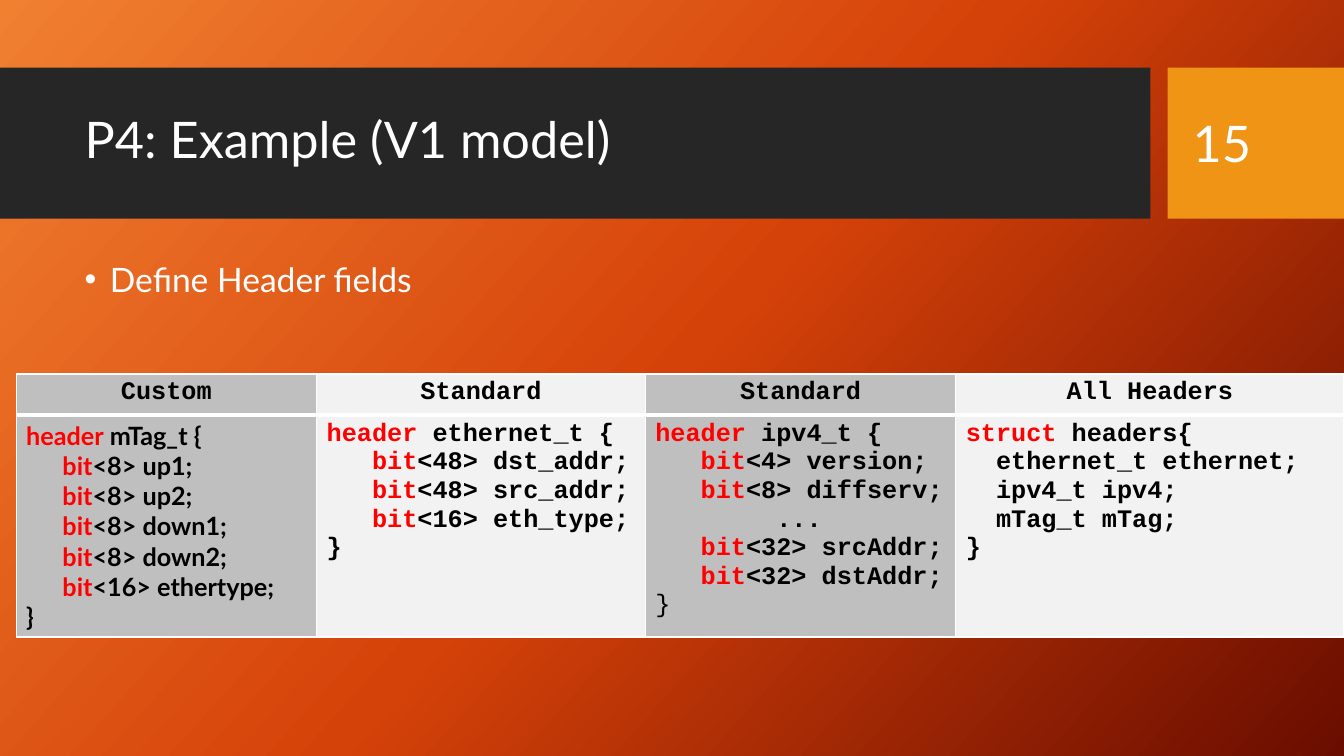
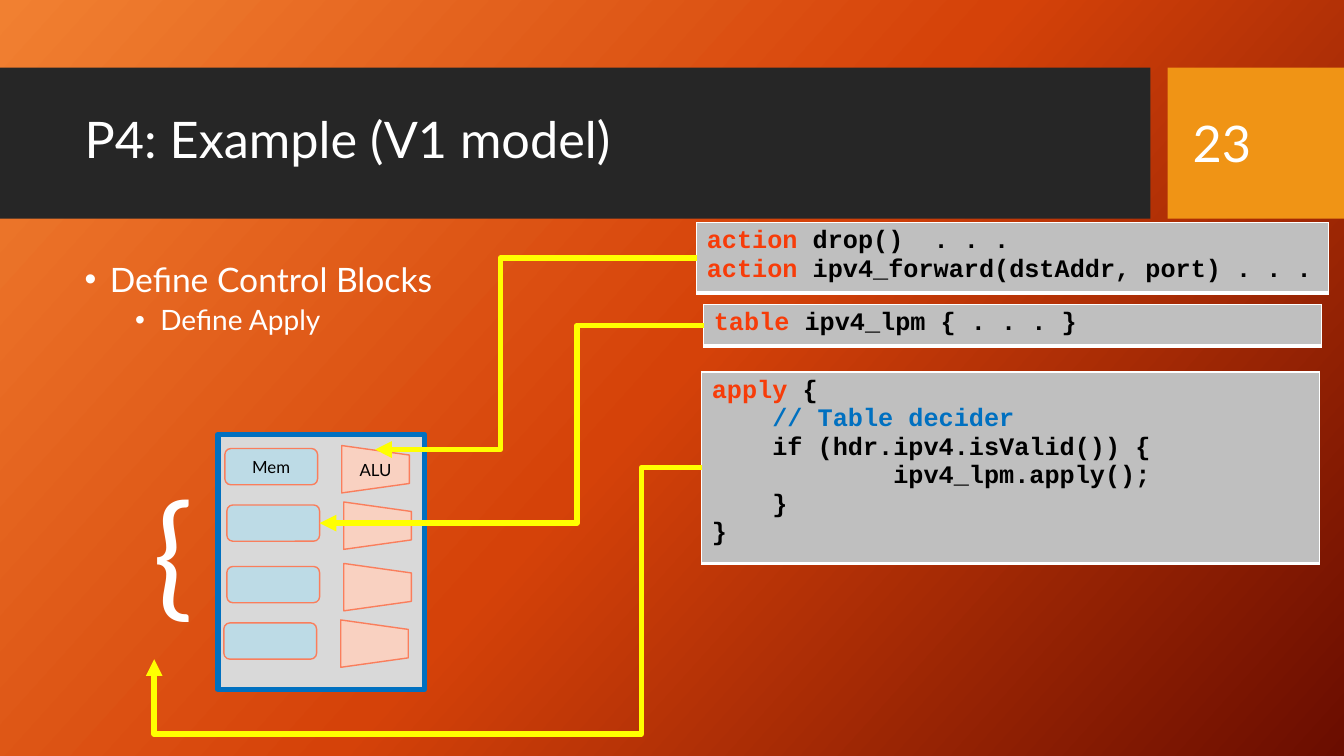
import copy
from dataclasses import dataclass

import pptx
import pptx.dml.color
import pptx.enum.shapes
import pptx.enum.text
import pptx.oxml.ns
import pptx.oxml.xmlchemy
import pptx.util

Inches = pptx.util.Inches
Pt = pptx.util.Pt
Shape = pptx.enum.shapes.MSO_SHAPE
Align = pptx.enum.text.PP_ALIGN
Anchor = pptx.enum.text.MSO_ANCHOR
qn = pptx.oxml.ns.qn

SANS, MONO = "Lato", "Courier New"
WHITE, BLACK, YELLOW, BLUE = "FFFFFF", "000000", "FFFF00", "0070C0"
DARK, AMBER = "262626", "F09415"
GRAY, PALE, PANEL = "BFBFBF", "F2F2F2", "D9D9D9"
MEMORY, UNIT, OUTLINE = "BDDBE6", "F9D1C1", "FA7E5C"
RED, ORANGE = "FF0000", "F73C09"
BACKGROUND = [(0, "F18031"), (0.5, "D54209"), (1, "6A0D00")]
KEYWORDS = {"header": RED, "bit": RED, "struct": RED,
            "action": ORANGE, "table": ORANGE, "apply": ORANGE}
TITLE = "P4: Example (V1 model)"


@dataclass
class Column:
    width: float
    fill: str
    lines: list
    title: str = ""
    font: str = MONO
    space: float = 0.15


def color(value):
    return pptx.dml.color.RGBColor.from_string(value)


def add_element(parent, tag, **attributes):
    element = pptx.oxml.xmlchemy.OxmlElement(tag)
    for name, value in attributes.items():
        element.set(name, str(value))
    parent.append(element)
    return element


def format_para(para, size, shade=None, font=SANS, bold=False):
    para.font.name = font
    para.font.size = Pt(size)
    para.font.bold = bold
    if shade:
        para.font.color.rgb = color(shade)


def add_block(shapes, kind, place, fill, line=None, weight=1):
    block = shapes.add_shape(kind, *map(Inches, place))
    block.shadow.inherit = False
    block.fill.solid()
    block.fill.fore_color.rgb = color(fill)
    if line:
        block.line.color.rgb = color(line)
        block.line.width = Pt(weight)
    else:
        block.line.fill.background()
    return block


def label_block(block, text):
    frame = block.text_frame
    frame.word_wrap = False
    frame.vertical_anchor = Anchor.MIDDLE
    frame.margin_left = frame.margin_right = frame.margin_top = frame.margin_bottom = 0
    para = frame.paragraphs[0]
    para.text = text
    para.alignment = Align.CENTER
    format_para(para, 12, BLACK)


def add_label(page, place, text, size):
    box = page.shapes.add_textbox(*map(Inches, place))
    box.text_frame.word_wrap = True
    box.text_frame.vertical_anchor = Anchor.MIDDLE
    para = box.text_frame.paragraphs[0]
    para.text = text
    format_para(para, size, WHITE)
    return box


def move_to(box, place):
    box.left, box.top, box.width, box.height = map(Inches, place)


def prepare_layout(deck):
    layout = deck.slide_layouts[1]
    fill = layout.background.fill
    fill.gradient()
    fill.gradient_angle = 318
    first = fill.gradient_stops[0]._gs
    first.addnext(copy.deepcopy(first))
    for stop, (position, shade) in zip(fill.gradient_stops, BACKGROUND):
        stop.position = position
        stop.color.rgb = color(shade)
    move_to(layout.placeholders[0], (0.74, 0.82, 10.51, 1.18))
    move_to(layout.placeholders[1], (0.74, 2.56, 5.92, 3.94))
    return layout


def add_layout_bands(layout, page):
    for place, fill in [((0, 0.67, 11.41, 1.5), DARK), ((11.58, 0.67, 1.75, 1.5), AMBER)]:
        band = add_block(page.shapes, Shape.RECTANGLE, place, fill)
        layout.shapes._spTree.insert(2, band._element)


def fill_body(body, items):
    frame = body.text_frame
    frame.auto_size = pptx.enum.text.MSO_AUTO_SIZE.NONE
    for level, text in enumerate(items):
        para = frame.add_paragraph() if level else frame.paragraphs[0]
        para.text = text
        para.level = level
        properties = para._p.get_or_add_pPr()
        properties.set("marL", str(Inches(0.25 + 0.5 * level)))
        properties.set("indent", str(Inches(-0.25)))
        add_element(properties, "a:buChar", char="•")
        para.line_spacing = 0.9
        para.space_before = Pt(10 - 5 * level)
        format_para(para, 24 - 4 * level, WHITE)


def add_page(deck, layout, number, items):
    page = deck.slides.add_slide(layout)
    title = page.shapes.title
    title.text_frame.text = TITLE
    title.text_frame.vertical_anchor = Anchor.MIDDLE
    para = title.text_frame.paragraphs[0]
    para.alignment = Align.LEFT
    para.line_spacing = 0.9
    format_para(para, 36, WHITE)
    fill_body(page.placeholders[1], items)
    add_label(page, (11.73, 0.82, 1.26, 1.19), number, 36)
    return page


def split_code(text):
    if text.startswith("//"):
        return [(text, BLUE)]
    for keyword, shade in KEYWORDS.items():
        if text.startswith(keyword):
            return [(keyword, shade), (text[len(keyword):], BLACK)]
    return [(text, BLACK)]


def write_code(frame, column):
    for index, (depth, text) in enumerate(column.lines):
        para = frame.add_paragraph() if index else frame.paragraphs[0]
        para._p.get_or_add_pPr().set("marL", str(Inches(depth * column.space)))
        format_para(para, 18, font=column.font, bold=True)
        for part, shade in split_code(text):
            span = para.add_run()
            span.text = part
            span.font.color.rgb = color(shade)


def format_cell(cell, fill, top, bottom):
    cell.fill.solid()
    cell.fill.fore_color.rgb = color(fill)
    properties = cell._tc.get_or_add_tcPr()
    sides = [("a:lnL", 1), ("a:lnR", 1), ("a:lnT", top), ("a:lnB", bottom)]
    for index, (tag, weight) in enumerate(sides):
        border = add_element(properties, tag, w=Pt(weight))
        add_element(add_element(border, "a:solidFill"), "a:srgbClr", val=WHITE)
        properties.insert(index, border)


def add_code_table(page, left, top, heights, columns):
    width = sum(column.width for column in columns)
    table = page.shapes.add_table(len(heights), len(columns), Inches(left), Inches(top),
                                  Inches(width), Inches(sum(heights))).table
    table.first_row = table.horz_banding = False
    for row, height in zip(table.rows, heights):
        row.height = Inches(height)
    last = len(heights) - 1
    for index, column in enumerate(columns):
        table.columns[index].width = Inches(column.width)
        if column.title:
            cell = table.cell(0, index)
            format_cell(cell, column.fill, 1, 3)
            para = cell.text_frame.paragraphs[0]
            para.text = column.title
            para.alignment = Align.CENTER
            format_para(para, 18, BLACK, MONO, True)
        cell = table.cell(last, index)
        format_cell(cell, column.fill, 3 if last else 1, 1 if last else 3)
        write_code(cell.text_frame, column)
    return table


def add_arrow(page, start, end, adjustments):
    arrow = page.shapes.add_connector(pptx.enum.shapes.MSO_CONNECTOR.ELBOW,
                                      *map(Inches, start + end))
    arrow.line.color.rgb = color(YELLOW)
    arrow.line.width = Pt(4)
    properties = arrow._element.spPr
    add_element(properties.find(qn("a:ln")), "a:tailEnd", type="triangle")
    add_element(properties, "a:effectLst")
    geometry = properties.find(qn("a:prstGeom"))
    geometry.set("prst", f"bentConnector{len(adjustments) + 2}")
    guides = geometry.find(qn("a:avLst"))
    for index, value in enumerate(adjustments, 1):
        add_element(guides, "a:gd", name=f"adj{index}", fmla=f"val {round(value * 100000)}")


def add_stage(page):
    shapes = page.shapes.add_group_shape().shapes
    add_block(shapes, Shape.RECTANGLE, (2.16, 4.31, 2.05, 2.53), PANEL, BLUE, 4)
    stages = [(2.23, 4.45), (2.25, 5.01), (2.25, 5.62), (2.22, 6.18)]
    for index, (left, top) in enumerate(stages):
        memory = add_block(shapes, Shape.ROUNDED_RECTANGLE, (left, top, 0.92, 0.36),
                           MEMORY, OUTLINE)
        unit = add_block(shapes, Shape.FLOWCHART_MANUAL_OPERATION,
                         (left + 1.26, top - 0.13, 0.47, 0.67), UNIT, OUTLINE)
        unit.rotation = 270
        if index == 0:
            label_block(memory, "Mem")
            label_block(unit, "ALU")
            unit.text_frame._txBody.bodyPr.set("vert", "vert")


def build_headers(page):
    tag = [(0, "header mTag_t {"), (6, "bit<8> up1;"), (6, "bit<8> up2;"),
           (6, "bit<8> down1;"), (6, "bit<8> down2;"), (6, "bit<16> ethertype;"), (0, "}")]
    ethernet = [(0, "header ethernet_t {"), (3, "bit<48> dst_addr;"),
                (3, "bit<48> src_addr;"), (3, "bit<16> eth_type;"), (0, "}")]
    internet = [(0, "header ipv4_t {"), (3, "bit<4> version;"), (3, "bit<8> diffserv;"),
                (8, "..."), (3, "bit<32> srcAddr;"), (3, "bit<32> dstAddr;"), (0, "}")]
    headers = [(0, "struct headers{"), (2, "ethernet_t ethernet;"), (2, "ipv4_t ipv4;"),
               (2, "mTag_t mTag;"), (0, "}")]
    table = add_code_table(page, 0.16, 3.71, [0.41, 2.2], [
        Column(2.98, GRAY, tag, "Custom", SANS, 0.06),
        Column(3.26, PALE, ethernet, "Standard"),
        Column(3.08, GRAY, internet, "Standard"),
        Column(3.85, PALE, headers, "All Headers")])
    table.cell(1, 2).text_frame.paragraphs[-1].font.bold = False


def build_control(page):
    actions = [(0, "action drop()  . . ."),
               (0, "action ipv4_forward(dstAddr, port) . . .")]
    lookup = [(0, "table ipv4_lpm { . . . }")]
    apply = [(0, "apply {"), (4, "// Table decider"), (4, "if (hdr.ipv4.isValid()) {"),
             (12, "ipv4_lpm.apply();"), (4, "}"), (0, "}")]
    for left, top, width, height, lines in [(6.98, 3.02, 6.13, 0.41, lookup),
                                            (6.91, 2.21, 6.27, 0.7, actions),
                                            (6.96, 3.69, 6.13, 1.9, apply)]:
        add_code_table(page, left, top, [height], [Column(width, GRAY, lines)])
    add_stage(page)
    add_arrow(page, (6.98, 3.23), (3.17, 5.19), [0.33])
    add_arrow(page, (6.91, 2.56), (3.72, 4.46), [0.61])
    brace = add_label(page, (1.04, 4.82, 0.98, 1.72), "}", 96)
    brace.text_frame.vertical_anchor = Anchor.TOP
    brace.rotation = 180
    add_arrow(page, (6.96, 4.64), (1.53, 6.54), [0.11, 1.39])


def main():
    deck = pptx.Presentation()
    deck.slide_width, deck.slide_height = Inches(13.33), Inches(7.5)
    layout = prepare_layout(deck)
    headers = add_page(deck, layout, "15", ["Define Header fields"])
    add_layout_bands(layout, headers)
    build_headers(headers)
    build_control(add_page(deck, layout, "23", ["Define Control Blocks", "Define Apply"]))
    deck.save("out.pptx")


if __name__ == "__main__":
    main()
